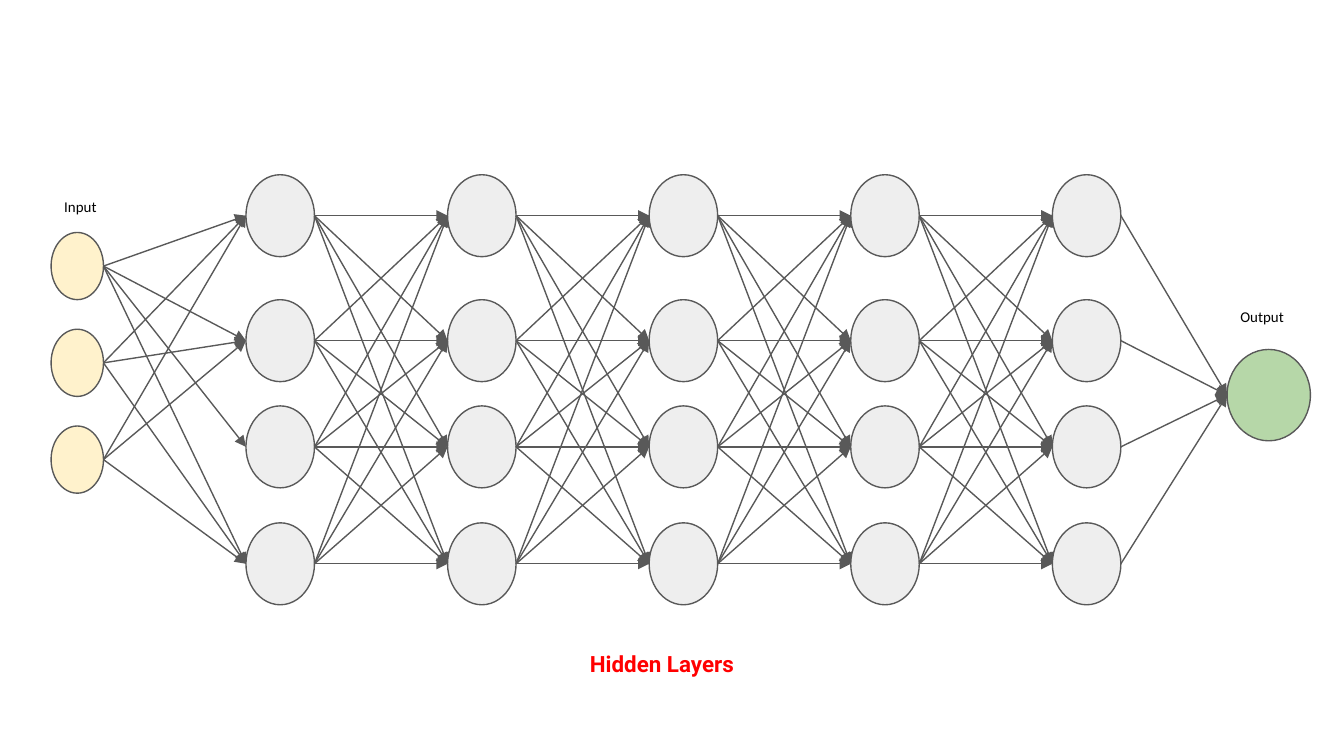
from itertools import pairwise, product

from lxml import etree
from pptx import Presentation
from pptx.dml.color import RGBColor
from pptx.enum.shapes import MSO_CONNECTOR, MSO_SHAPE
from pptx.enum.text import MSO_ANCHOR, PP_ALIGN
from pptx.oxml.ns import qn
from pptx.util import Inches, Pt

COLORS = {
    "input": "FFF2CC",
    "hidden": "EEEEEE",
    "output": "B6D7A8",
    "line": "595959",
    "label": "000000",
    "caption": "FF0000",
}
SLIDE_WIDTH = 10
HIDDEN_LAYERS = 5
HIDDEN_PITCH = 1.5
HIDDEN_ROWS = (0, 0.93, 1.72, 2.59)
INPUTS = 3
INPUT_PITCH = 0.72
# (input, hidden row) pairs that are not linked
UNLINKED = {(1, 2), (2, 2)}


def rgb(name):
    return RGBColor.from_string(COLORS[name])


def add_node(s, kind, x, y, w, h):
    sp = s.shapes.add_shape(MSO_SHAPE.OVAL, Inches(x), Inches(y), Inches(w), Inches(h))
    sp.shadow.inherit = False
    sp.fill.solid()
    sp.fill.fore_color.rgb = rgb(kind)
    sp.line.color.rgb = rgb("line")
    sp.line.width = Pt(0.75)
    return sp


def add_layer(s, kind, x, tops, w, h):
    """Stack one node at each top and return the nodes."""
    return [add_node(s, kind, x, y, w, h) for y in tops]


def add_arrow(s, start, end):
    """Run an arrow from the right of one node to the left of another."""
    cxn = s.shapes.add_connector(
        MSO_CONNECTOR.STRAIGHT,
        start.left + start.width, start.top + start.height // 2,
        end.left, end.top + end.height // 2,
    )
    cxn.line.color.rgb = rgb("line")
    cxn.line.width = Pt(0.75)
    ln = cxn.line._get_or_add_ln()
    etree.SubElement(ln, qn("a:tailEnd"), type="triangle")
    etree.SubElement(ln.getparent(), qn("a:effectLst"))


def link_layers(s, sources, targets, unlinked=()):
    for i, j in product(range(len(sources)), range(len(targets))):
        if (i, j) not in unlinked:
            add_arrow(s, sources[i], targets[j])


def add_label(s, text, x, y, w, h, font, size, color, align=PP_ALIGN.LEFT, bold=False):
    tf = s.shapes.add_textbox(Inches(x), Inches(y), Inches(w), Inches(h)).text_frame
    tf.word_wrap = True
    tf.vertical_anchor = MSO_ANCHOR.MIDDLE
    tf.margin_left = tf.margin_right = tf.margin_top = tf.margin_bottom = Inches(0.1)
    tf.text = text
    p = tf.paragraphs[0]
    p.alignment = align
    r = p.runs[0]
    r.font.name, r.font.size, r.font.bold = font, Pt(size), bold
    r.font.color.rgb = rgb(color)


def add_network(s, x, y):
    """Draw the layers, links and labels from the top-left corner given."""
    input_tops = [y + 0.43 + i * INPUT_PITCH for i in range(INPUTS)]
    inputs = add_layer(s, "input", x, input_tops, 0.39, 0.5)
    hidden = [
        add_layer(s, "hidden", x + 1.45 + i * HIDDEN_PITCH,
                  [y + row for row in HIDDEN_ROWS], 0.51, 0.61)
        for i in range(HIDDEN_LAYERS)
    ]
    output = add_layer(s, "output", x + 8.75, [y + 1.3], 0.62, 0.68)

    link_layers(s, inputs, hidden[0], UNLINKED)
    for sources, targets in pairwise([*hidden, output]):
        link_layers(s, sources, targets)

    add_label(s, "Input", x, y + 0.16, 0.46, 0.16, "Calibri", 8, "label")
    add_label(s, "Output", x + 8.75, y + 0.96, 0.62, 0.19, "Calibri", 8, "label")
    add_label(s, "Hidden Layers", x + 1.79, y + 3.45, 5.51, 0.38,
              "Roboto", 12, "caption", PP_ALIGN.CENTER, True)


def main():
    prs = Presentation()
    prs.slide_width = Inches(SLIDE_WIDTH)
    prs.slide_height = Inches(SLIDE_WIDTH * 9 / 16)
    s = prs.slides.add_slide(prs.slide_layouts[6])
    add_network(s, 0.38, 1.3)
    prs.save("out.pptx")


if __name__ == "__main__":
    main()
